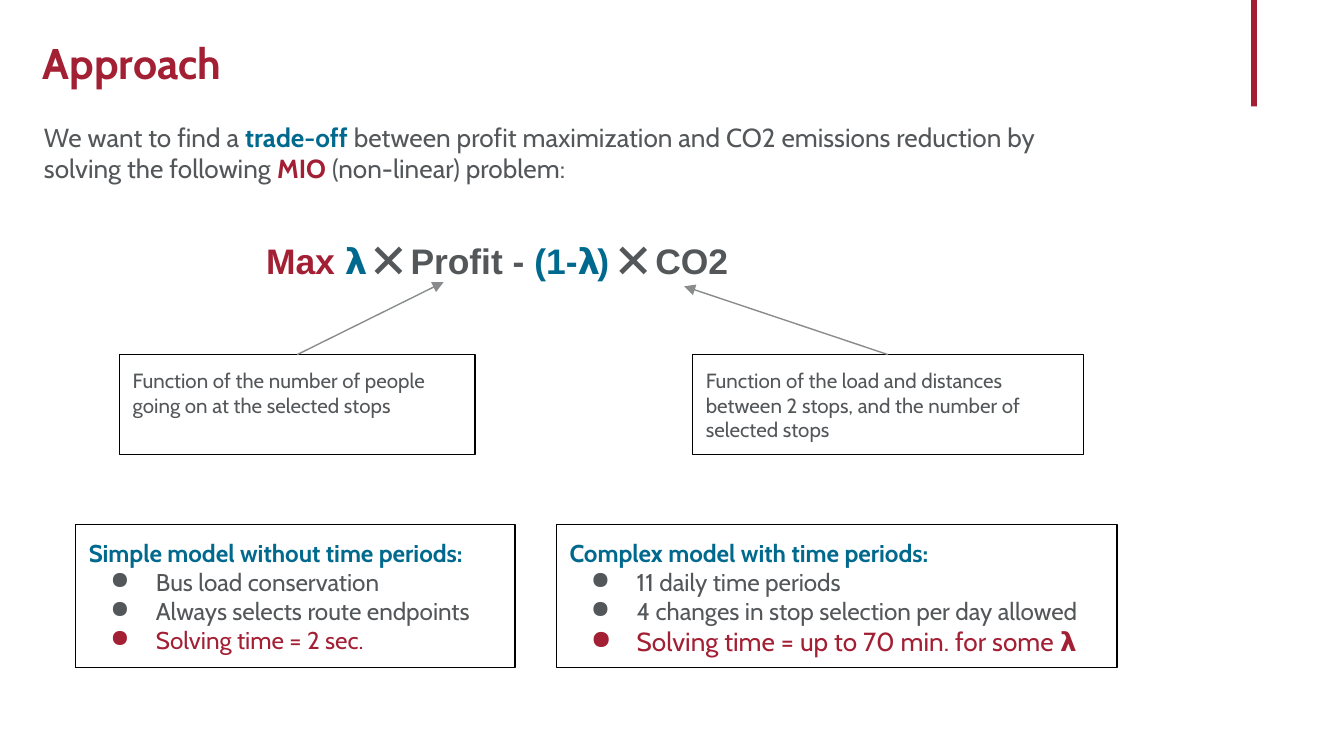
from pptx import Presentation
from pptx.dml.color import RGBColor
from pptx.enum.shapes import MSO_CONNECTOR, MSO_SHAPE
from pptx.enum.text import MSO_ANCHOR, PP_ALIGN
from pptx.oxml.ns import qn
from pptx.util import Pt
from lxml.etree import SubElement

THEME = {
    "red": "A31F34", "blue": "00698E", "gray": "545759",
    "arrow": "8A8B8C", "border": "000000",
    "font": "Cabin", "formula_font": "Arial",
    "title": 23, "formula": 19, "body": 14, "model": 13, "note": 11,
}
INSET = 7.2
LINE_WIDTH = 0.75

# Content: runs are (text, colour, bold)
TITLE = [("Approach", "red", True)]
INTRO = [
    ("We want to find a ", "gray", False),
    ("trade-off ", "blue", True),
    ("between profit maximization and CO2 emissions reduction by "
     "solving the following ", "gray", False),
    ("MIO", "red", True),
    (" (non-linear) problem:", "gray", False),
]
FORMULA = [
    ("Max ", "red", True),
    ("𝝺", "blue", True),
    (" ⨉ Profit - ", "gray", True),
    ("(1-𝝺)", "blue", True),
    (" ⨉ CO2", "gray", True),
]
# Notes: text, left, width, arrow tip
NOTES = [
    ("Function of the number of people going on at the selected stops",
     64, 190.5, (237.6, 151.2)),
    ("Function of the load and distances between 2 stops, "
     "and the number of selected stops", 371, 209.5, (366.5, 153.4)),
]
NOTE_TOP, NOTE_HEIGHT = 190, 53.5
# Models: heading, left, width, bullets as (text, colour, size)
MODELS = [
    ("Simple model without time periods:", 40.5, 235.5, [
        ("Bus load conservation", "gray", "model"),
        ("Always selects route endpoints", "gray", "model"),
        ("Solving time = 2 sec.", "red", "model")]),
    ("Complex model with time periods:", 298, 300.5, [
        ("11 daily time periods", "gray", "model"),
        ("4 changes in stop selection per day allowed", "gray", "model"),
        ("Solving time = up to 70 min. for some 𝝺", "red", "body")]),
]
MODEL_TOP, MODEL_HEIGHT = 281, 76.5


def color(name):
    return RGBColor.from_string(THEME[name])


def add_runs(p, runs, size, font="font"):
    p.alignment = PP_ALIGN.LEFT
    for text, fill, bold in runs:
        r = p.add_run()
        r.text = text
        r.font.name = THEME[font]
        r.font.size = Pt(THEME[size])
        r.font.bold = bold
        r.font.color.rgb = color(fill)


def add_bullet(p, fill):
    pPr = p._p.get_or_add_pPr()
    pPr.set("marL", str(Pt(36)))
    pPr.set("indent", str(Pt(-24.5)))
    clr = SubElement(pPr, qn("a:buClr"))
    SubElement(clr, qn("a:srgbClr"), val=THEME[fill])
    SubElement(pPr, qn("a:buChar"), char="●")


def set_frame(sp, anchor=MSO_ANCHOR.TOP, insets=(INSET,) * 4):
    tf = sp.text_frame
    tf.word_wrap = True
    tf.vertical_anchor = anchor
    tf.margin_left, tf.margin_top, tf.margin_right, tf.margin_bottom = map(Pt, insets)
    return tf


def add_text(s, box, runs, size, font="font", **frame):
    sp = s.shapes.add_textbox(*map(Pt, box))
    add_runs(set_frame(sp, **frame).paragraphs[0], runs, size, font)


def add_box(s, *box):
    sp = s.shapes.add_shape(MSO_SHAPE.RECTANGLE, *map(Pt, box))
    sp.shadow.inherit = False
    sp.fill.background()
    sp.line.color.rgb = color("border")
    sp.line.width = Pt(LINE_WIDTH)
    return set_frame(sp)


def add_arrow(s, start, tip):
    cx = s.shapes.add_connector(MSO_CONNECTOR.STRAIGHT, *map(Pt, start + tip))
    cx.line.color.rgb = color("arrow")
    cx.line.width = Pt(LINE_WIDTH)
    SubElement(cx.line._get_or_add_ln(), qn("a:tailEnd"), type="triangle")
    SubElement(cx._element.spPr, qn("a:effectLst"))


def main():
    prs = Presentation()
    prs.slide_width, prs.slide_height = Pt(720), Pt(405)
    s = prs.slides.add_slide(prs.slide_layouts[6])

    # Corner accent
    bar = s.shapes.add_shape(MSO_SHAPE.RECTANGLE, Pt(670.2), 0, Pt(3.2), Pt(57))
    bar.shadow.inherit = False
    bar.fill.solid()
    bar.fill.fore_color.rgb = color("red")
    bar.line.fill.background()

    # Title, introduction and formula
    add_text(s, (23, 0, 530, 67), TITLE, "title",
             anchor=MSO_ANCHOR.MIDDLE, insets=(0, 2.7, 5.4, 2.7))
    add_text(s, (16.5, 57.6, 581, 47), INTRO, "body")
    add_text(s, (135.5, 121, 279.5, 41), FORMULA, "formula", "formula_font")

    # Notes, each with an arrow from its top centre to the formula
    for text, left, width, tip in NOTES:
        tf = add_box(s, left, NOTE_TOP, width, NOTE_HEIGHT)
        add_runs(tf.paragraphs[0], [(text, "gray", False)], "note")
        add_arrow(s, (left + width / 2, NOTE_TOP), tip)

    # Model comparison
    for heading, left, width, bullets in MODELS:
        tf = add_box(s, left, MODEL_TOP, width, MODEL_HEIGHT)
        add_runs(tf.paragraphs[0], [(heading, "blue", True)], "model")
        for text, fill, size in bullets:
            p = tf.add_paragraph()
            add_bullet(p, fill)
            add_runs(p, [(text, fill, False)], size)

    prs.save("out.pptx")


if __name__ == "__main__":
    main()
